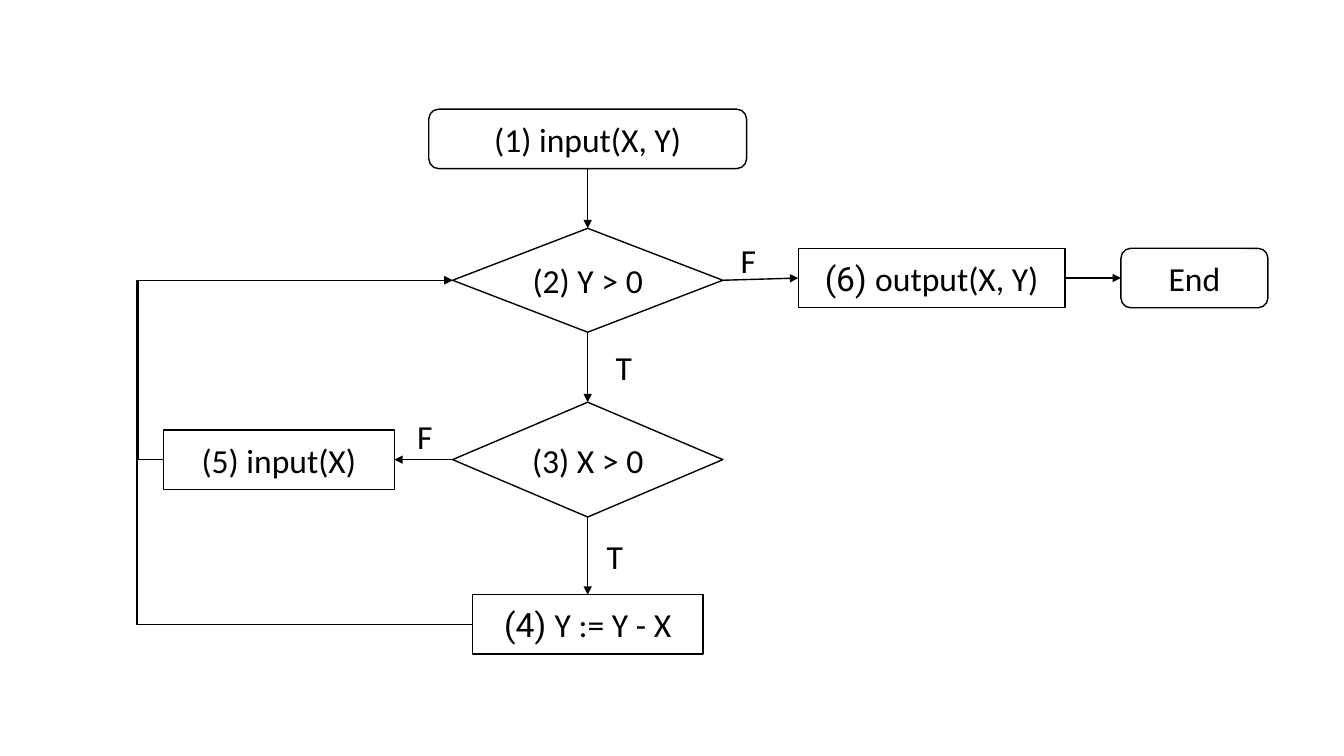
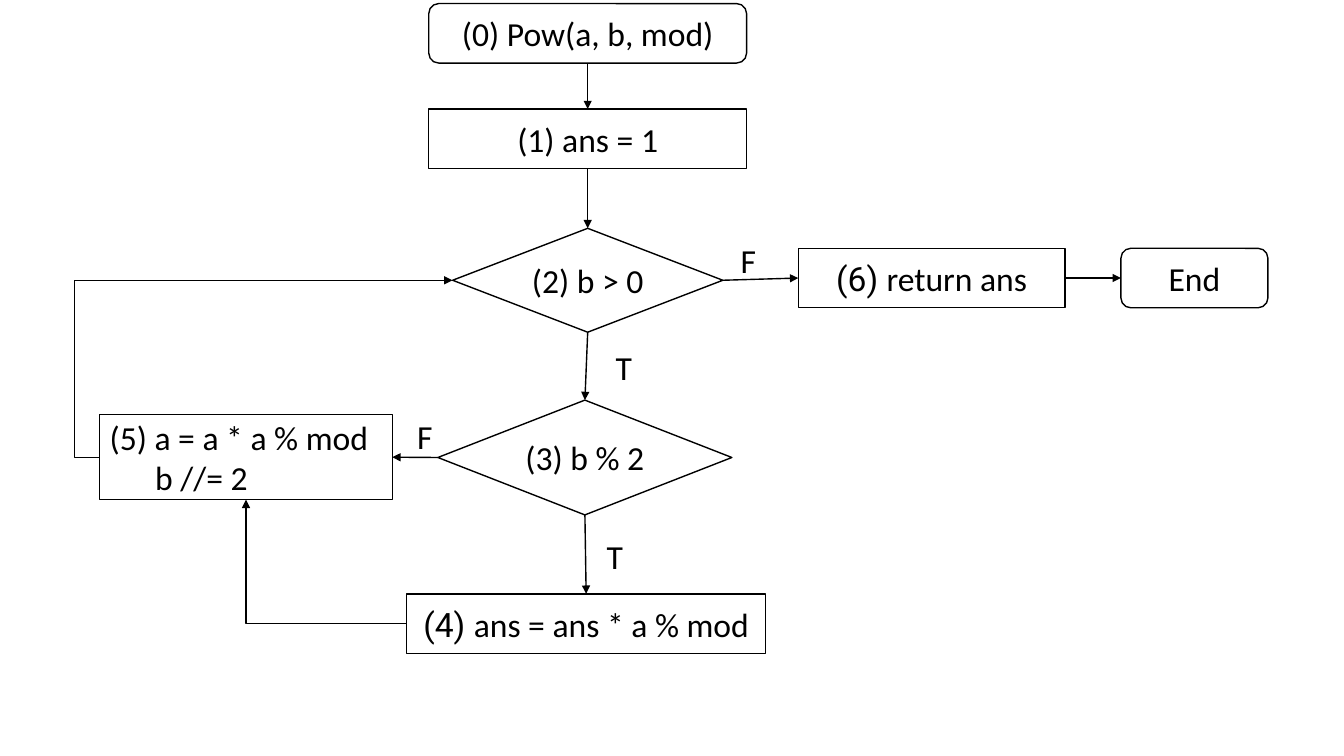
from pptx import Presentation
from pptx.dml.color import RGBColor
from pptx.enum.shapes import MSO_CONNECTOR as CONN, MSO_SHAPE as SHAPE
from pptx.enum.text import MSO_ANCHOR as ANCHOR, MSO_AUTO_SIZE as AUTO, PP_ALIGN as ALIGN
from pptx.oxml.ns import qn
from pptx.util import Pt
from lxml.etree import SubElement

TOP, LEFT, BOTTOM, RIGHT = range(4)
AXIS = 419.8
BOX_H = 42.5
LOOP_Y, OUT_Y = 200.2, 198.6


def rgb(value):
    return RGBColor.from_string(value)


def apply(obj, values):
    for name, value in values.items():
        setattr(obj, name, value)


class Flow:
    INK = "000000"
    FONT = {"name": "Calibri", "size": Pt(24)}
    NUMBER_FONT = {"name": "Roboto", "size": Pt(24)}
    FRAME = {"word_wrap": True, "vertical_anchor": ANCHOR.MIDDLE}
    LABEL_FRAME = {"word_wrap": False, "auto_size": AUTO.SHAPE_TO_FIT_TEXT}

    def __init__(self):
        self.prs = Presentation()
        apply(self.prs, {"slide_width": Pt(960), "slide_height": Pt(540)})
        self.s = None

    def slide(self):
        self.s = self.prs.slides.add_slide(self.prs.slide_layouts[6])

    def run(self, p, text, font):
        r = p.add_run()
        r.text = text
        apply(r.font, font)
        r.font.color.rgb = rgb(self.INK)

    def stroke(self, line):
        line.color.rgb = rgb(self.INK)
        line.width = Pt(1)

    def node(self, kind, cx, cy, w, text, h=BOX_H, number="", align=ALIGN.CENTER, hang=0):
        sp = self.s.shapes.add_shape(kind, Pt(cx - w / 2), Pt(cy - h / 2), Pt(w), Pt(h))
        sp.shadow.inherit = False
        sp.fill.background()
        self.stroke(sp.line)
        tf = sp.text_frame
        apply(tf, self.FRAME)
        for i, line in enumerate(text.split("\n")):
            p = tf.add_paragraph() if i else tf.paragraphs[0]
            p.alignment = align
            if i:
                p._p.get_or_add_pPr().set("marL", str(Pt(hang)))
            elif number:
                self.run(p, number, self.NUMBER_FONT)
            self.run(p, line, self.FONT)
        return sp

    def label(self, x, y, text):
        sp = self.s.shapes.add_textbox(Pt(x), Pt(y), Pt(26.3), Pt(36))
        apply(sp.text_frame, self.LABEL_FRAME)
        self.run(sp.text_frame.paragraphs[0], text, self.FONT)

    def arrow(self, start, start_site, end, end_site, kind=CONN.STRAIGHT):
        cn = self.s.shapes.add_connector(kind, 0, 0, 0, 0)
        cn.begin_connect(start, start_site)
        cn.end_connect(end, end_site)
        self.stroke(cn.line)
        SubElement(cn.line._get_or_add_ln(), qn("a:tailEnd"), type="triangle")
        SubElement(cn._element.spPr, qn("a:effectLst"))
        return cn

    def bent(self, start, start_site, end, end_site, via=None):
        cn = self.arrow(start, start_site, end, end_site, CONN.ELBOW)
        geom = cn._element.spPr.find(qn("a:prstGeom"))
        if via is None:
            geom.set("prst", "bentConnector2")
        else:
            ratio = (Pt(via) - cn.begin_x) / (cn.end_x - cn.begin_x)
            guides = geom.find(qn("a:avLst"))
            SubElement(guides, qn("a:gd"), name="adj1", fmla=f"val {round(ratio * 100000)}")
        xfrm = cn._element.spPr.get_or_add_xfrm()
        apply(xfrm, {"rot": 180, "flipH": not xfrm.flipH, "flipV": not xfrm.flipV})

    def chart(self, first, loop_text, out_text, test, step, other):
        loop = self.node(SHAPE.DIAMOND, AXIS, LOOP_Y, 193, loop_text, h=74.2)
        out = self.node(SHAPE.RECTANGLE, 665.5, OUT_Y, 190.6, out_text, number="(6) ")
        end = self.node(SHAPE.ROUNDED_RECTANGLE, 853.2, OUT_Y, 105, "End")
        for link in ((first, BOTTOM, loop, TOP), (loop, RIGHT, out, LEFT),
                     (out, RIGHT, end, LEFT), (loop, BOTTOM, test, TOP),
                     (test, BOTTOM, step, TOP), (test, LEFT, other, RIGHT)):
            self.arrow(*link)
        for x, y, text in ((432.7, 244.1, "T"), (426.2, 379.4, "T"),
                           (522, 167.8, "F"), (290.9, 293.8, "F")):
            self.label(x, y, text)
        return loop


def subtraction(f):
    f.slide()
    first = f.node(SHAPE.ROUNDED_RECTANGLE, AXIS, 99.2, 227, "(1) input(X, Y)")
    test = f.node(SHAPE.DIAMOND, AXIS, 328.3, 193, "(3) X > 0", h=82)
    step = f.node(SHAPE.RECTANGLE, AXIS, 446, 165, "Y := Y - X", number="(4) ")
    other = f.node(SHAPE.RECTANGLE, 199.2, 328.3, 165, "(5) input(X)")
    loop = f.chart(first, "(2) Y > 0", "output(X, Y)", test, step, other)
    f.bent(other, LEFT, loop, LEFT, via=98.6)
    f.bent(step, LEFT, loop, LEFT, via=98)


def power(f):
    f.slide()
    start = f.node(SHAPE.ROUNDED_RECTANGLE, AXIS, 23.8, 227, "(0) Pow(a, b, mod)")
    first = f.node(SHAPE.RECTANGLE, AXIS, 99.2, 227, "(1) ans = 1")
    test = f.node(SHAPE.DIAMOND, 417.8, 326.8, 210, "(3) b % 2", h=82)
    step = f.node(SHAPE.RECTANGLE, 418.7, 445.4, 256.6, "ans = ans * a % mod", number="(4) ")
    other = f.node(SHAPE.RECTANGLE, 175.7, 326.6, 209, "(5) a = a * a % mod\nb //= 2",
                   h=60.6, align=ALIGN.LEFT, hang=32.5)
    f.arrow(start, BOTTOM, first, TOP)
    loop = f.chart(first, "(2) b > 0", "return ans", test, step, other)
    f.bent(other, LEFT, loop, LEFT, via=53.3)
    f.bent(step, LEFT, other, BOTTOM)


def main():
    f = Flow()
    subtraction(f)
    power(f)
    f.prs.save("out.pptx")


if __name__ == "__main__":
    main()
